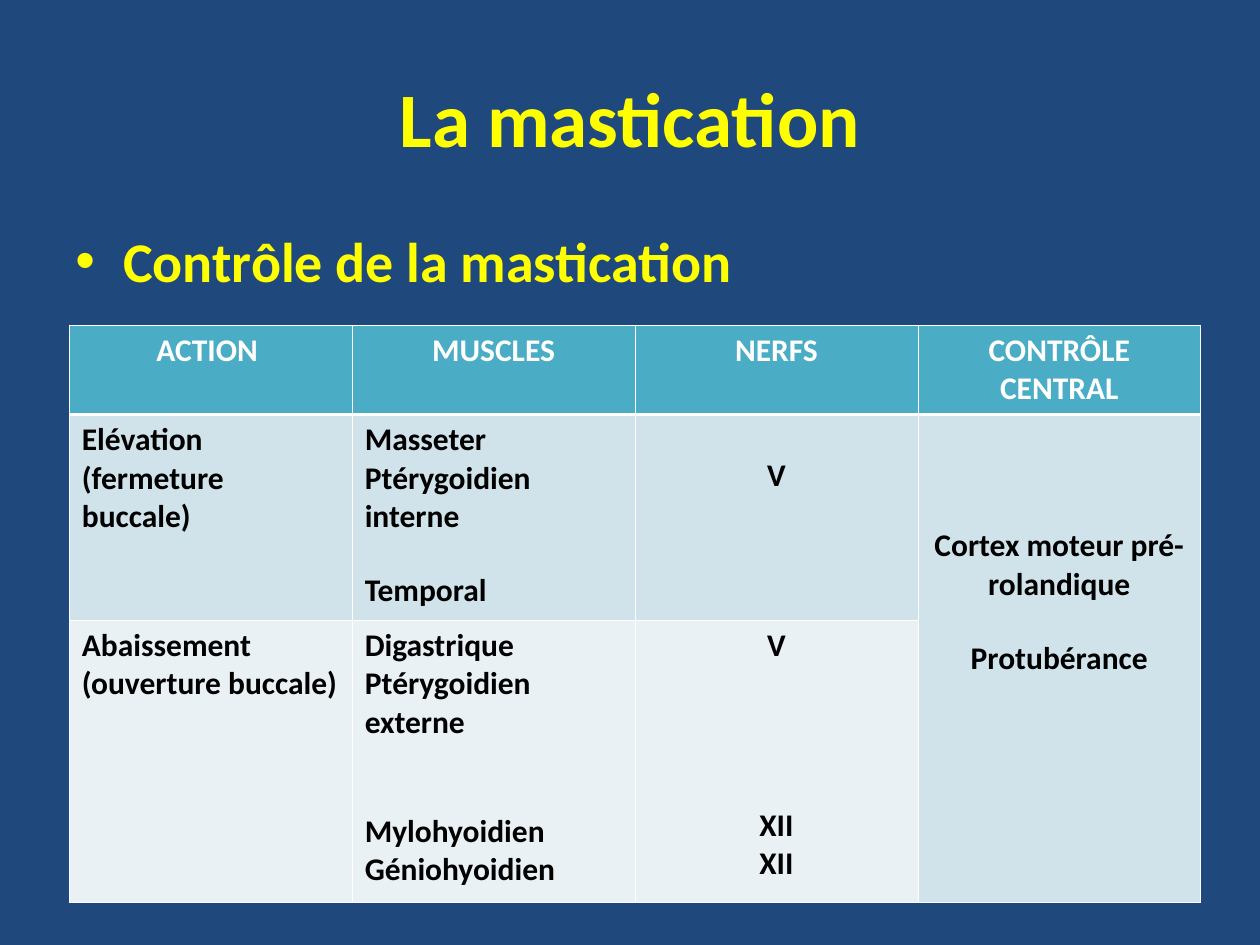
from dataclasses import dataclass

from lxml.etree import SubElement
from pptx import Presentation
from pptx.dml.color import RGBColor
from pptx.enum.text import MSO_ANCHOR as Anchor, PP_ALIGN as Align
from pptx.oxml.ns import qn
from pptx.util import Inches, Pt

NAVY = RGBColor(0x1F, 0x49, 0x7D)
YELLOW = RGBColor(0xFF, 0xFF, 0x00)
WHITE = RGBColor(0xFF, 0xFF, 0xFF)
BLACK = RGBColor(0x00, 0x00, 0x00)
TEAL = RGBColor(0x4B, 0xAC, 0xC6)
PALE_TEAL = RGBColor(0xD0, 0xE3, 0xEA)
PALEST_TEAL = RGBColor(0xE9, 0xF1, 0xF5)

FONT = "Calibri"
GAP_LINE = 20.2
THIN, THICK = Pt(0.45), Pt(1.47)
TABLE_WIDTH = 8.98
ROW_HEIGHTS = (0.71, 1.63, 2.24)


@dataclass(frozen=True)
class Line:
    text: str
    gap_lines: int = 0


@dataclass(frozen=True)
class Entry:
    lines: tuple[Line, ...]
    align: Align = Align.LEFT


@dataclass(frozen=True)
class Band:
    fill: RGBColor
    ink: RGBColor
    top: Pt
    bottom: Pt
    entries: tuple[Entry, ...]


HEADINGS = ("ACTION ", "MUSCLES", "NERFS", "CONTRÔLE CENTRAL")
BANDS = (
    Band(TEAL, WHITE, THIN, THICK,
         tuple(Entry((Line(heading),), Align.CENTER) for heading in HEADINGS)),
    Band(PALE_TEAL, BLACK, THICK, THIN, (
        Entry((Line("Elévation (fermeture buccale)"),)),
        Entry((Line("Masseter"), Line("Ptérygoidien interne"), Line("Temporal", 1))),
        Entry((Line("V", 1),), Align.CENTER),
        Entry((Line("Cortex moteur pré-rolandique", 3), Line("Protubérance", 1)),
              Align.CENTER),
    )),
    Band(PALEST_TEAL, BLACK, THIN, THIN, (
        Entry((Line("Abaissement (ouverture buccale)"),)),
        Entry((Line("Digastrique"), Line("Ptérygoidien externe"),
               Line("Mylohyoidien", 2), Line("Géniohyoidien"))),
        Entry((Line("V"), Line("XII", 4), Line("XII")), Align.CENTER),
    )),
)


def style_runs(paragraph, size: float, color: RGBColor) -> None:
    for run in paragraph.runs:
        run.font.name = FONT
        run.font.size = Pt(size)
        run.font.bold = True
        run.font.color.rgb = color


def add_heading(slide, text: str, top: float, height: float, size: float):
    box = slide.shapes.add_textbox(Inches(0.5), Inches(top), Inches(9), Inches(height))
    frame = box.text_frame
    frame.word_wrap = True
    frame.text = text
    style_runs(frame.paragraphs[0], size, YELLOW)
    return frame


def add_bullet(paragraph) -> None:
    properties = paragraph._p.get_or_add_pPr()
    indent = Inches(0.38)
    properties.set("marL", str(indent))
    properties.set("indent", str(-indent))
    bullet_color = SubElement(properties, qn("a:buClr"))
    SubElement(bullet_color, qn("a:srgbClr"), val=str(YELLOW))
    SubElement(properties, qn("a:buFont"), typeface="Arial")
    SubElement(properties, qn("a:buChar"), char="•")


def set_borders(cell, top: Pt, bottom: Pt) -> None:
    properties = cell._tc.get_or_add_tcPr()
    for side, width in (("L", THIN), ("R", THIN), ("T", top), ("B", bottom)):
        border = SubElement(properties, qn(f"a:ln{side}"), w=str(width))
        fill = SubElement(border, qn("a:solidFill"))
        SubElement(fill, qn("a:srgbClr"), val=str(WHITE))


def fill_cell(cell, entry: Entry, ink: RGBColor) -> None:
    """Write the lines; a gap above the first one becomes top margin."""
    frame = cell.text_frame
    cell.margin_top = Inches(0.05) + Pt(GAP_LINE * entry.lines[0].gap_lines)
    for index, line in enumerate(entry.lines):
        paragraph = frame.add_paragraph() if index else frame.paragraphs[0]
        paragraph.text = line.text
        paragraph.alignment = entry.align
        if index and line.gap_lines:
            paragraph.space_before = Pt(GAP_LINE * line.gap_lines)
        style_runs(paragraph, 18, ink)


def add_control_table(slide) -> None:
    table = slide.shapes.add_table(
        len(BANDS), len(HEADINGS), Inches(0.55), Inches(2.58),
        Inches(TABLE_WIDTH), Inches(sum(ROW_HEIGHTS))).table
    table.first_row = table.horz_banding = False
    for column in table.columns:
        column.width = Inches(TABLE_WIDTH / len(HEADINGS))
    for row_index, (band, height) in enumerate(zip(BANDS, ROW_HEIGHTS)):
        table.rows[row_index].height = Inches(height)
        for column_index in range(len(HEADINGS)):
            cell = table.cell(row_index, column_index)
            set_borders(cell, band.top, band.bottom)
            cell.fill.solid()
            cell.fill.fore_color.rgb = band.fill
        for column_index, entry in enumerate(band.entries):
            fill_cell(table.cell(row_index, column_index), entry, band.ink)
    table.cell(1, 3).merge(table.cell(2, 3))


def main() -> None:
    deck = Presentation()
    deck.slide_width, deck.slide_height = Inches(10), Inches(7.5)
    slide = deck.slides.add_slide(deck.slide_layouts[6])
    slide.background.fill.solid()
    slide.background.fill.fore_color.rgb = NAVY

    title = add_heading(slide, "La mastication", 0.3, 1.25, 44)
    title.vertical_anchor = Anchor.MIDDLE
    title.paragraphs[0].alignment = Align.CENTER

    topic = add_heading(slide, "Contrôle de la mastication", 1.75, 5.44, 32)
    add_bullet(topic.paragraphs[0])

    add_control_table(slide)
    deck.save("out.pptx")


if __name__ == "__main__":
    main()
